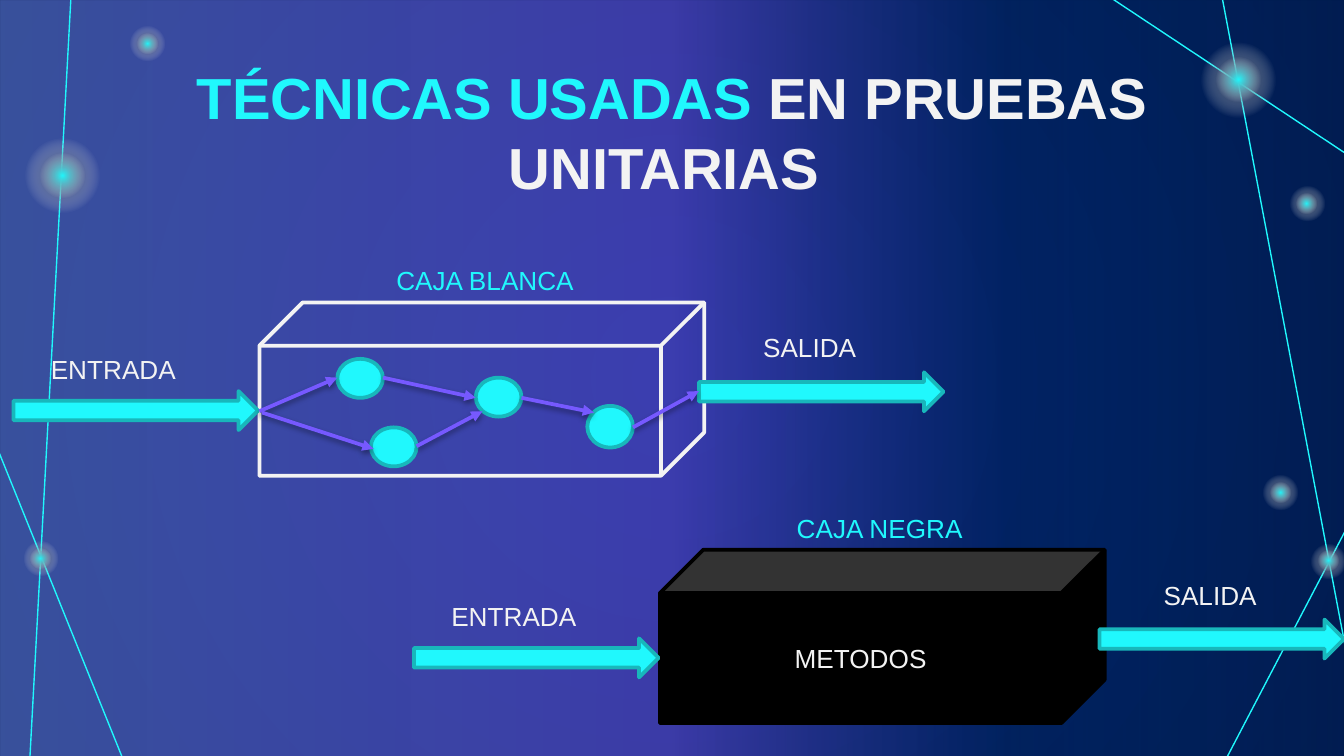
from dataclasses import dataclass
from typing import NamedTuple, Optional

import lxml.etree
import pptx
import pptx.dml.color
import pptx.enum.shapes
import pptx.enum.text
import pptx.oxml
import pptx.oxml.ns
import pptx.util

KIND = pptx.enum.shapes.MSO_SHAPE
ALIGN = pptx.enum.text.PP_ALIGN
ANCHOR = pptx.enum.text.MSO_ANCHOR
FIT = pptx.enum.text.MSO_AUTO_SIZE
qn = pptx.oxml.ns.qn

# Slide grid: 100 columns by 56.25 rows of square cells
WIDE, HIGH = pptx.util.Inches(10), pptx.util.Inches(5.625)
CELL = WIDE / 100


@dataclass(frozen=True)
class Theme:
    cyan: str = "20F8FD"
    teal: str = "18B7BB"
    white: str = "F3F3F3"
    violet: str = "7659FF"
    navy: str = "012060"
    night: str = "00183A"
    black: str = "000000"
    font: str = "Arial"
    title: float = 31
    label: float = 14
    thin: float = 0.75
    thick: float = 2


THEME = Theme()


class Stop(NamedTuple):
    place: int
    color: str
    solid: int = 100


class Area(NamedTuple):
    left: float
    top: float
    wide: float
    high: float


class Line(NamedTuple):
    x1: float
    y1: float
    x2: float
    y2: float


class Star(NamedTuple):
    x: float
    y: float
    size: float


class Box(NamedTuple):
    dx: float
    dy: float
    name: str
    name_wide: float
    fill: Optional[str]
    edge: str
    text: str


def cells(*counts: float) -> list[int]:
    return [round(count * CELL) for count in counts]


def rgb(color: str):
    return pptx.dml.color.RGBColor.from_string(color)


def shade(holder, stops: list[Stop], round_fill: bool) -> None:
    """Swap the solid fill of a properties element for a gradient."""
    marks = "".join(
        f'<a:gs pos="{s.place * 1000}"><a:srgbClr val="{s.color}">'
        f'<a:alpha val="{s.solid * 1000}"/></a:srgbClr></a:gs>' for s in stops)
    form = ('<a:path path="circle"><a:fillToRect l="50000" t="50000" r="50000" b="50000"/></a:path>'
            if round_fill else '<a:lin ang="0" scaled="0"/>')
    fill = pptx.oxml.parse_xml(
        f'<a:gradFill {pptx.oxml.ns.nsdecls("a")} rotWithShape="1">'
        f'<a:gsLst>{marks}</a:gsLst>{form}</a:gradFill>')
    holder.replace(holder.find(qn("a:solidFill")), fill)


def add_run(para, text: str, color: str, size: float, bold: bool = False) -> None:
    run = para.add_run()
    run.text = text
    run.font.name, run.font.size, run.font.bold = THEME.font, pptx.util.Pt(size), bold
    run.font.color.rgb = rgb(color)


def draw_shape(slide, kind, area: Area, fill: Optional[str], edge: Optional[str] = None):
    shape = slide.shapes.add_shape(kind, *cells(*area))
    shape.shadow.inherit = False
    if fill:
        shape.fill.solid()
        shape.fill.fore_color.rgb = rgb(fill)
    else:
        shape.fill.background()
    if edge:
        shape.line.color.rgb = rgb(edge)
        shape.line.width = pptx.util.Pt(THEME.thick)
    else:
        shape.line.fill.background()
    return shape


def draw_line(slide, line: Line, color: str, width: float, arrow: bool = False) -> None:
    link = slide.shapes.add_connector(pptx.enum.shapes.MSO_CONNECTOR.STRAIGHT, *cells(*line))
    link.line.color.rgb = rgb(color)
    link.line.width = pptx.util.Pt(width)
    props = link.element.spPr
    effect = lxml.etree.SubElement(props, qn("a:effectLst"))
    if arrow:
        lxml.etree.SubElement(props.find(qn("a:ln")), qn("a:tailEnd"), type="triangle")
        shadow = lxml.etree.SubElement(
            effect, qn("a:outerShdw"), blurRad=str(pptx.util.Pt(3.1)),
            dist=str(pptx.util.Pt(1.6)), dir="5400000", rotWithShape="0")
        color_tag = lxml.etree.SubElement(shadow, qn("a:srgbClr"), val=THEME.black)
        lxml.etree.SubElement(color_tag, qn("a:alpha"), val="38000")


def draw_label(slide, area: Area, text: str, color: str) -> None:
    frame = slide.shapes.add_textbox(*cells(*area)).text_frame
    frame.word_wrap = False
    frame.auto_size = FIT.SHAPE_TO_FIT_TEXT
    add_run(frame.paragraphs[0], text, color, THEME.label)


def draw_star(slide, star: Star) -> None:
    for share, color in ((1, THEME.night), (0.6, THEME.cyan)):
        size = star.size * share
        glow = draw_shape(slide, KIND.OVAL,
                          Area(star.x - size / 2, star.y - size / 2, size, size), color)
        shade(glow.element.spPr,
              [Stop(0, color), Stop(50, THEME.white, 0), Stop(100, THEME.white, 0)], True)


def draw_box(slide, box: Box) -> None:
    def place(left: float, top: float, wide: float, high: float) -> Area:
        return Area(left + box.dx, top + box.dy, wide, high)

    cube = draw_shape(slide, KIND.CUBE, place(19.3, 22.5, 33.1, 12.9), box.fill, box.edge)
    if box.text:
        cube.text_frame.vertical_anchor = ANCHOR.MIDDLE
        para = cube.text_frame.paragraphs[0]
        para.alignment = ALIGN.CENTER
        add_run(para, box.text, THEME.white, THEME.label)
    for left, top in ((1, 29.1), (52, 27.7)):
        draw_shape(slide, KIND.RIGHT_ARROW, place(left, top, 18.2, 2.9), THEME.cyan, THEME.teal)
    draw_label(slide, place(28.5, 19.2, box.name_wide, 3.4), box.name, THEME.cyan)
    draw_label(slide, place(2.8, 25.8, 11.4, 3.4), "ENTRADA", THEME.white)
    draw_label(slide, place(55.8, 24.2, 9, 3.4), "SALIDA", THEME.white)


RAYS = [Line(-0.1, 33.6, 9.4, 57.1), Line(5.3, -0.6, 2.2, 56.9), Line(82.3, -0.4, 100.4, 11.6),
        Line(90.9, 57.1, 100.2, 39.3), Line(90.8, -0.9, 100.3, 49.2)]
STARS = [Star(4.65, 13.05, 7.9), Star(92.15, 5.95, 7.9), Star(3.05, 41.55, 3.7),
         Star(98.85, 41.75, 3.7), Star(95.25, 36.65, 3.7), Star(97.25, 15.15, 3.7),
         Star(10.95, 3.25, 3.7)]
BOXES = [Box(29.8, 18.4, "CAJA NEGRA", 14.6, THEME.black, THEME.black, "METODOS"),
         Box(0, 0, "CAJA BLANCA", 15.5, None, THEME.white, "")]
NODES = [Area(25.1, 26.7, 3.4, 2.9), Area(27.6, 31.8, 3.4, 2.9),
         Area(35.4, 28.1, 3.4, 2.9), Area(43.7, 30.2, 3.4, 3.1)]
LINKS = [Line(19.3, 30.6, 25.1, 28.1), Line(19.5, 30.7, 27.8, 33.4), Line(31, 33.2, 35.9, 30.6),
         Line(28.5, 28.1, 35.4, 29.6), Line(38.8, 29.6, 44.2, 30.7), Line(47.1, 31.8, 52, 29.1)]


def main() -> None:
    deck = pptx.Presentation()
    deck.slide_width, deck.slide_height = WIDE, HIGH
    slide = deck.slides.add_slide(deck.slide_layouts[5])

    # Backdrop with rays and stars
    slide.background.fill.solid()
    shade(slide.element.find(".//" + qn("p:bgPr")),
          [Stop(0, THEME.navy), Stop(100, THEME.night)], True)
    veil = draw_shape(slide, KIND.RECTANGLE, Area(0, 0, 100, 56.25), THEME.navy)
    shade(veil.element.spPr, [Stop(0, "748BFF", 49), Stop(50, THEME.violet, 50),
                              Stop(75, "022E88", 35), Stop(100, THEME.navy, 60)], False)
    for ray in RAYS:
        draw_line(slide, ray, THEME.cyan, THEME.thin)
    for star in STARS:
        draw_star(slide, star)

    # Title, raised above the backdrop
    title = slide.shapes.title
    slide.shapes.element.append(title.element)
    title.left, title.top, title.width, title.height = cells(7.9, 3.6, 84.2, 6.9)
    frame = title.text_frame
    frame.auto_size, frame.word_wrap, frame.vertical_anchor = FIT.NONE, True, ANCHOR.TOP
    frame.margin_left = frame.margin_right = frame.margin_top = frame.margin_bottom = cells(1)[0]
    para = frame.paragraphs[0]
    para.alignment = ALIGN.CENTER
    add_run(para, "TÉCNICAS USADAS", THEME.cyan, THEME.title, True)
    add_run(para, " EN PRUEBAS UNITARIAS ", THEME.white, THEME.title, True)

    # Black box and white box, then the flow inside the white one
    for box in BOXES:
        draw_box(slide, box)
    for node in NODES:
        draw_shape(slide, KIND.OVAL, node, THEME.cyan, THEME.teal)
    for link in LINKS:
        draw_line(slide, link, THEME.violet, THEME.thick, True)

    deck.save("out.pptx")


if __name__ == "__main__":
    main()
